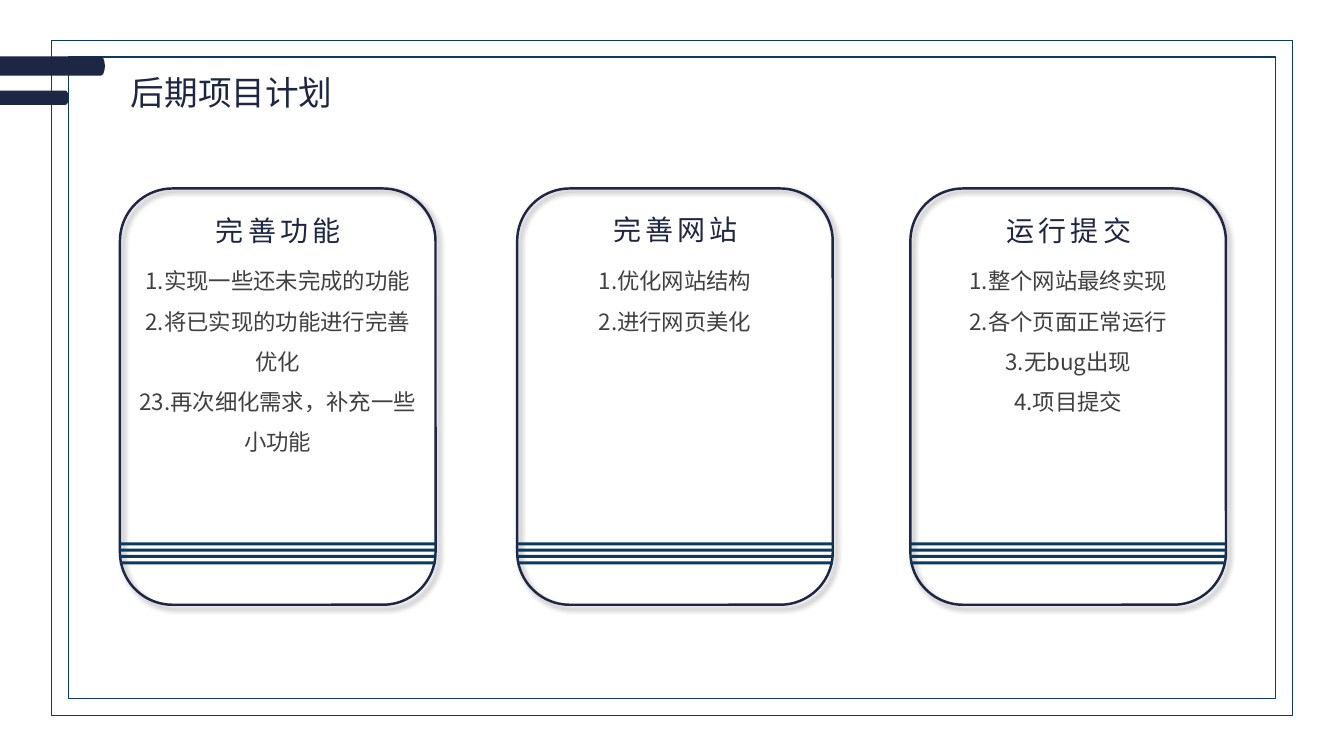
import math
from dataclasses import dataclass

import lxml.etree
import pptx
import pptx.dml.color
import pptx.enum.shapes
import pptx.enum.text
import pptx.oxml.ns
import pptx.shapes.autoshape
import pptx.slide
import pptx.util

Inches = pptx.util.Inches
Point = tuple[float, float]


@dataclass(frozen=True)
class Theme:
    font: str = "Noto Sans CJK SC"
    navy: str = "1D2643"
    frame: str = "0B3D60"
    stripe: str = "083B5E"
    body: str = "404040"
    title_size: float = 24
    heading_size: float = 20
    body_size: float = 16


@dataclass(frozen=True)
class TextStyle:
    size: float
    color: str
    alignment: pptx.enum.text.PP_ALIGN = pptx.enum.text.PP_ALIGN.CENTER
    line_spacing: float = 1.0
    tracking: float = 0
    grows: bool = True


@dataclass(frozen=True)
class Tab:
    top: float
    width: float
    height: float
    bulge: float


@dataclass(frozen=True)
class Card:
    left: float
    heading: str
    heading_top: float
    items: tuple[str, ...]
    items_height: float


THEME = Theme()
TITLE = TextStyle(THEME.title_size, THEME.navy, pptx.enum.text.PP_ALIGN.LEFT, grows=False)
HEADING = TextStyle(THEME.heading_size, THEME.navy, tracking=3)
BODY = TextStyle(THEME.body_size, THEME.body, line_spacing=1.5)

CARD_TOP, CARD_WIDTH, CARD_HEIGHT = 1.87, 3.13, 4.13
STRIPE_TOP, STRIPE_HEIGHT, STRIPE_PITCH, STRIPE_COUNT = 5.38, 0.03, 0.063, 4

TABS = (Tab(0.56, 1.04, 0.19, 0.04), Tab(0.9, 0.68, 0.14, 0.03))
CARDS = (
    Card(1.19, "完善功能", 2.07,
         ("1.实现一些还未完成的功能", "2.将已实现的功能进行完善优化", "23.再次细化需求，补充一些小功能"), 2.12),
    Card(5.13, "完善网站", 2.06, ("1.优化网站结构", "2.进行网页美化"), 1.31),
    Card(9.03, "运行提交", 2.07,
         ("1.整个网站最终实现", "2.各个页面正常运行", "3.无bug出现", "4.项目提交"), 2.12),
)


def rgb(color: str) -> pptx.dml.color.RGBColor:
    return pptx.dml.color.RGBColor.from_string(color)


def add_text(slide: pptx.slide.Slide, left: float, top: float, width: float, height: float,
             lines: tuple[str, ...], style: TextStyle) -> None:
    box = slide.shapes.add_textbox(Inches(left), Inches(top), Inches(width), Inches(height))
    text_frame = box.text_frame
    text_frame.word_wrap = True
    if style.grows:
        text_frame.auto_size = pptx.enum.text.MSO_AUTO_SIZE.SHAPE_TO_FIT_TEXT
    text_frame.text = "\n".join(lines)
    for paragraph in text_frame.paragraphs:
        paragraph.alignment = style.alignment
        paragraph.line_spacing = style.line_spacing
        for run in paragraph.runs:
            run.font.size = pptx.util.Pt(style.size)
            run.font.name = THEME.font
            run.font.color.rgb = rgb(style.color)
            properties = run.font._element
            if style.tracking:
                properties.set("spc", str(int(style.tracking * 100)))
            east_asian = lxml.etree.SubElement(properties, pptx.oxml.ns.qn("a:ea"))
            east_asian.set("typeface", THEME.font)


def add_outline(slide: pptx.slide.Slide, kind: pptx.enum.shapes.MSO_SHAPE, left: float, top: float,
                width: float, height: float, color: str,
                weight: float) -> pptx.shapes.autoshape.Shape:
    shape = slide.shapes.add_shape(kind, Inches(left), Inches(top), Inches(width), Inches(height))
    shape.shadow.inherit = False
    shape.fill.background()
    shape.line.color.rgb = rgb(color)
    shape.line.width = pptx.util.Pt(weight)
    return shape


def add_shadow(shape: pptx.shapes.autoshape.Shape) -> None:
    qn = pptx.oxml.ns.qn
    effects = shape._element.spPr.find(qn("a:effectLst"))
    shadow = lxml.etree.SubElement(
        effects, qn("a:outerShdw"), blurRad=str(pptx.util.Pt(4)), dist=str(pptx.util.Pt(3)),
        dir=str(45 * 60000), algn="tl", rotWithShape="0")
    black = lxml.etree.SubElement(shadow, qn("a:srgbClr"), val="000000")
    lxml.etree.SubElement(black, qn("a:alpha"), val="40000")


def add_filled_outlines(slide: pptx.slide.Slide, outlines: list[list[Point]], color: str) -> None:
    contours = [[(Inches(x), Inches(y)) for x, y in outline] for outline in outlines]
    builder = slide.shapes.build_freeform(*contours[0][0])
    for index, contour in enumerate(contours):
        if index:
            builder.move_to(*contour[0])
        builder.add_line_segments(contour[1:], close=True)
    shape = builder.convert_to_shape()
    shape.shadow.inherit = False
    shape.fill.solid()
    shape.fill.fore_color.rgb = rgb(color)
    shape.line.fill.background()


def tab_outline(tab: Tab) -> list[Point]:
    middle, straight = tab.top + tab.height / 2, tab.width - tab.bulge
    angles = [math.radians(degrees) for degrees in range(-90, 91, 10)]
    end = [(straight + tab.bulge * math.cos(angle), middle + tab.height / 2 * math.sin(angle))
           for angle in angles]
    return [(0, tab.top), *end, (0, tab.top + tab.height)]


def stripe_outline(left: float, index: int) -> list[Point]:
    top = STRIPE_TOP + index * STRIPE_PITCH
    right, bottom = left + CARD_WIDTH, top + STRIPE_HEIGHT
    return [(left, top), (right, top), (right, bottom), (left, bottom)]


def add_card(slide: pptx.slide.Slide, card: Card) -> None:
    panel = add_outline(slide, pptx.enum.shapes.MSO_SHAPE.ROUNDED_RECTANGLE, card.left, CARD_TOP,
                        CARD_WIDTH, CARD_HEIGHT, THEME.navy, 1.75)
    add_shadow(panel)
    stripes = [stripe_outline(card.left, index) for index in range(STRIPE_COUNT)]
    add_filled_outlines(slide, stripes, THEME.stripe)
    add_text(slide, card.left + 0.09, 2.47, 2.95, card.items_height, card.items, BODY)
    add_text(slide, card.left + 0.59, card.heading_top, 1.96, 0.44, (card.heading,), HEADING)


def main() -> None:
    presentation = pptx.Presentation()
    presentation.slide_width = Inches(13.33)
    presentation.slide_height = Inches(7.5)
    slide = presentation.slides.add_slide(presentation.slide_layouts[6])
    frame = add_outline(slide, pptx.enum.shapes.MSO_SHAPE.FRAME, 0.51, 0.4, 12.31, 6.7,
                        THEME.frame, 1)
    frame.adjustments[0] = 0.025
    add_filled_outlines(slide, [tab_outline(tab) for tab in TABS], THEME.navy)
    add_text(slide, 1.2, 0.66, 2.59, 0.91, ("后期项目计划",), TITLE)
    for card in CARDS:
        add_card(slide, card)
    presentation.save("out.pptx")


if __name__ == "__main__":
    main()
